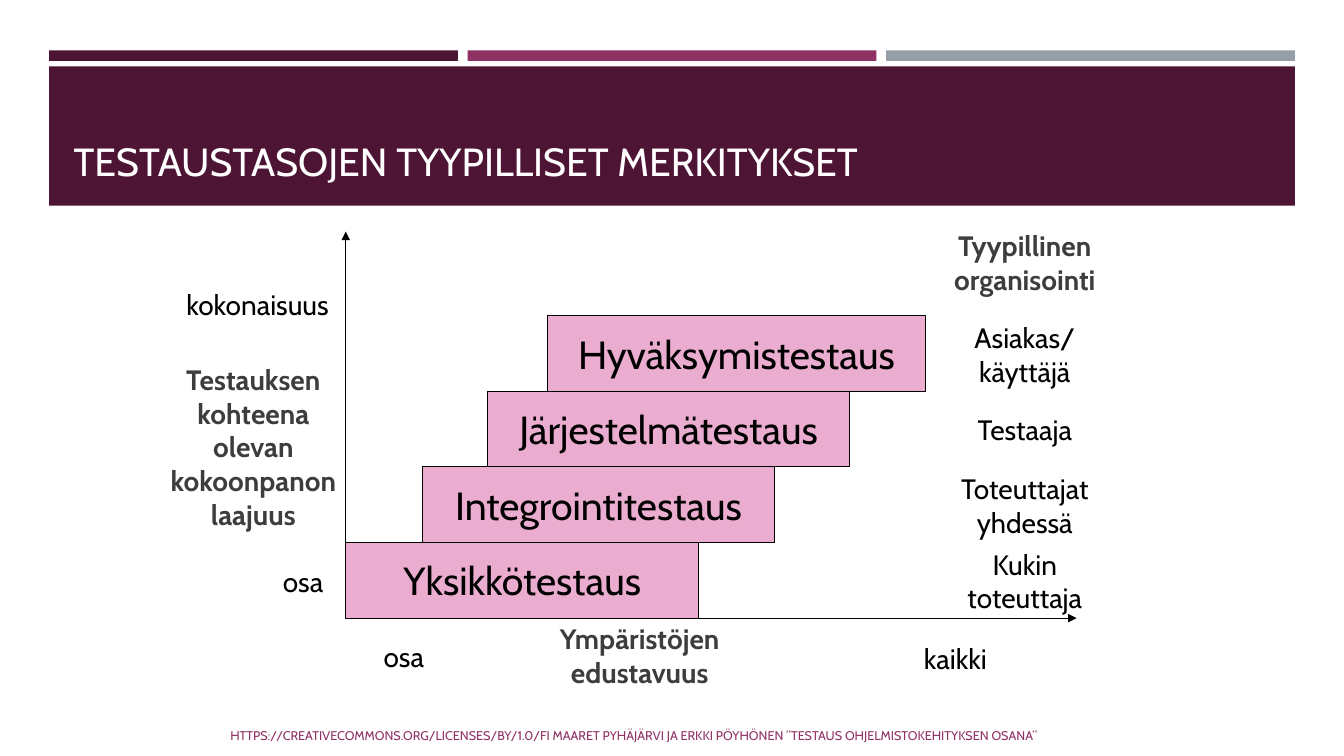
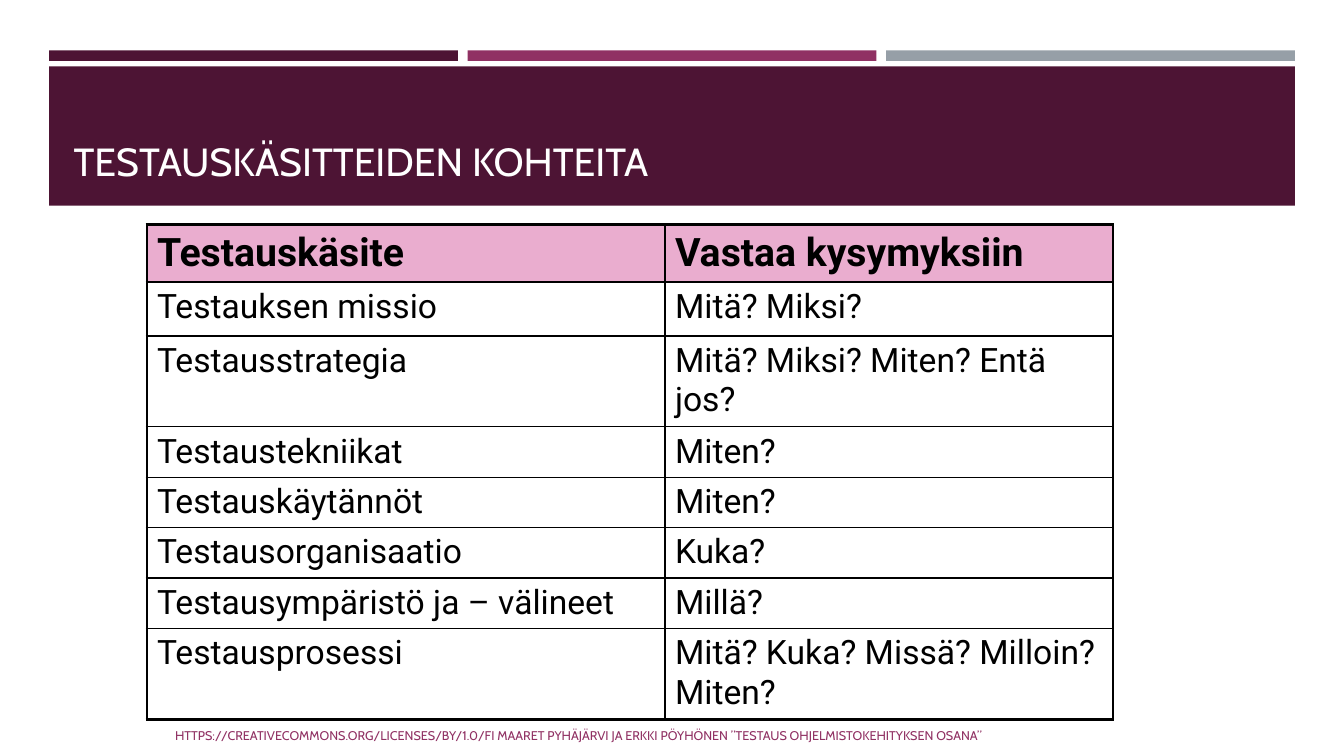
from lxml import etree
from pptx import Presentation
from pptx.dml.color import RGBColor
from pptx.enum.shapes import MSO_CONNECTOR, MSO_SHAPE
from pptx.enum.text import MSO_ANCHOR, PP_ALIGN
from pptx.oxml.ns import qn
from pptx.util import Pt

RECTANGLE = MSO_SHAPE.RECTANGLE
STRAIGHT = MSO_CONNECTOR.STRAIGHT
TOP, MIDDLE, BOTTOM = MSO_ANCHOR.TOP, MSO_ANCHOR.MIDDLE, MSO_ANCHOR.BOTTOM
LEFT, CENTER, RIGHT = PP_ALIGN.LEFT, PP_ALIGN.CENTER, PP_ALIGN.RIGHT

PLUM = RGBColor(0x4D, 0x14, 0x34)
MAGENTA = RGBColor(0x90, 0x31, 0x63)
GRAY = RGBColor(0x96, 0x9F, 0xA7)
PINK = RGBColor(0xEA, 0xAD, 0xCF)
DARK = RGBColor(0x3D, 0x3D, 0x3D)
BLACK = RGBColor(0, 0, 0)
WHITE = RGBColor(0xFF, 0xFF, 0xFF)

# Text formats
TITLE = {"name": "Cabin", "size": Pt(28), "color": WHITE}
FOOTER = {"name": "Cabin", "size": Pt(9), "color": MAGENTA}
STEP = {"name": "Cabin", "size": Pt(28), "color": BLACK}
LABEL = {"name": "Cabin", "size": Pt(20), "color": BLACK}
HEADING = {"name": "Cabin", "size": Pt(20), "color": DARK, "bold": True}
TABLE_HEAD = {"name": "Roboto", "size": Pt(28), "color": BLACK, "bold": True}
TABLE_BODY = {"name": "Roboto", "size": Pt(24), "color": BLACK, "bold": False}

# Content
SOURCE = ("HTTPS://CREATIVECOMMONS.ORG/LICENSES/BY/1.0/FI MAARET PYHÄJÄRVI JA "
          "ERKKI PÖYHÖNEN ”TESTAUS OHJELMISTOKEHITYKSEN OSANA”")
LEVELS_TITLE = "TESTAUSTASOJEN TYYPILLISET MERKITYKSET"
CONCEPTS_TITLE = "TESTAUSKÄSITTEIDEN KOHTEITA"

# Level, left edge, width, who organises it (bottom step first)
LEVELS = [
    ("Yksikkötestaus", 247, 252, "Kukin toteuttaja"),
    ("Integrointitestaus", 302, 251, "Toteuttajat yhdessä"),
    ("Järjestelmätestaus", 348, 259, "Testaaja"),
    ("Hyväksymistestaus", 391, 270, "Asiakas/\vkäyttäjä"),
]
# Text, (left, top, width, height), alignment, format
AXIS_LABELS = [
    ("Testauksen kohteena olevan kokoonpanon laajuus",
     (109, 255.5, 144, 128), CENTER, HEADING),
    ("osa", (133, 399.5, 105, 31), RIGHT, LABEL),
    ("kokonaisuus", (109, 201.5, 133, 31), RIGHT, LABEL),
    ("Ympäristöjen edustavuus", (385, 440.5, 144, 55), CENTER, HEADING),
    ("kaikki", (607, 455, 105, 31), RIGHT, LABEL),
    ("osa", (205, 453.5, 105, 31), RIGHT, LABEL),
]
# Concept, questions, row height
CONCEPTS = [
    ("Testauskäsite", "Vastaa kysymyksiin", 41),
    ("Testauksen missio", "Mitä? Miksi?", 38.5),
    ("Testausstrategia", "Mitä? Miksi? Miten? Entä jos?", 63.5),
    ("Testaustekniikat", "Miten?", 35.4),
    ("Testauskäytännöt", "Miten?", 35.4),
    ("Testausorganisaatio", "Kuka?", 35.4),
    ("Testausympäristö ja – välineet", "Millä?", 35.4),
    ("Testausprosessi", "Mitä? Kuka? Missä? Milloin? Miten?", 63.5),
]
COLUMN_WIDTHS = (370, 320)

# Geometry
SLIDE_WIDTH, SLIDE_HEIGHT = 960, 540
BAND_LEFT, BAND_TOP, BAND_WIDTH, BAND_HEIGHT, BAND_GAP = 35, 36, 292, 7.5, 7
ORIGIN_X, ORIGIN_Y = 247, 441.5
AXIS_TOP, AXIS_RIGHT = 165.5, 769
STEP_HEIGHT = 54
ORGANISER_LEFT, ORGANISER_WIDTH = 662, 140
TABLE_LEFT, TABLE_TOP = 105, 160.5
THIN, THICK = 1, 2.25


def points(*lengths):
    return [Pt(length) for length in lengths]


def write(text_frame, text, text_format, alignment=LEFT, anchor=TOP):
    text_frame.word_wrap = True
    text_frame.vertical_anchor = anchor
    text_frame.text = text
    paragraph = text_frame.paragraphs[0]
    paragraph.alignment = alignment
    for run in paragraph.runs:
        for name, value in text_format.items():
            if name == "color":
                run.font.color.rgb = value
            else:
                setattr(run.font, name, value)


def add_text(slide, box, *text_arguments):
    write(slide.shapes.add_textbox(*points(*box)).text_frame, *text_arguments)


def add_rectangle(slide, box, fill, outline=None):
    shape = slide.shapes.add_shape(RECTANGLE, *points(*box))
    shape.shadow.inherit = False
    shape.fill.solid()
    shape.fill.fore_color.rgb = fill
    if outline is None:
        shape.line.fill.background()
    else:
        shape.line.color.rgb = outline
        shape.line.width = Pt(0.75)
    return shape


def add_arrow(slide, *ends):
    connector = slide.shapes.add_connector(STRAIGHT, *points(*ends))
    connector.line.color.rgb = BLACK
    connector.line.width = Pt(0.75)
    etree.SubElement(connector.line._get_or_add_ln(), qn("a:tailEnd"), type="triangle")
    etree.SubElement(connector._element.spPr, qn("a:effectLst"))


def set_borders(cell, widths):
    properties = cell._tc.get_or_add_tcPr()
    for side, width in zip("LRTB", widths):
        line = etree.SubElement(properties, qn("a:ln" + side), w=str(Pt(width)))
        fill = etree.SubElement(line, qn("a:solidFill"))
        etree.SubElement(fill, qn("a:srgbClr"), val=str(BLACK))


def add_base_slide(presentation, title, footer_left):
    slide = presentation.slides.add_slide(presentation.slide_layouts[6])
    for index, color in enumerate((PLUM, MAGENTA, GRAY)):
        left = BAND_LEFT + index * (BAND_WIDTH + BAND_GAP)
        add_rectangle(slide, (left, BAND_TOP, BAND_WIDTH, BAND_HEIGHT), color)
    add_rectangle(slide, (BAND_LEFT, 47.5, 890, 99.5), PLUM)
    add_text(slide, (45.5, 57.5, 868, 78), title, TITLE, LEFT, BOTTOM)
    add_text(slide, (footer_left, 511, 640, 29), SOURCE, FOOTER, LEFT, MIDDLE)
    return slide


def build_levels(presentation):
    slide = add_base_slide(presentation, LEVELS_TITLE, 157.5)

    # Axes
    add_arrow(slide, ORIGIN_X, ORIGIN_Y, ORIGIN_X, AXIS_TOP)
    add_arrow(slide, ORIGIN_X, ORIGIN_Y, AXIS_RIGHT, ORIGIN_Y)

    # Staircase and organisers
    for index, (level, left, width, organiser) in enumerate(LEVELS, start=1):
        top = ORIGIN_Y - index * STEP_HEIGHT
        step = add_rectangle(slide, (left, top, width, STEP_HEIGHT), PINK, BLACK)
        write(step.text_frame, level, STEP, CENTER, MIDDLE)
        add_text(slide, (ORGANISER_LEFT, top, ORGANISER_WIDTH, STEP_HEIGHT + 1),
                 organiser, LABEL, CENTER, MIDDLE)
    add_text(slide, (ORGANISER_LEFT, 160, ORGANISER_WIDTH, 55),
             "Tyypillinen organisointi", HEADING, CENTER)

    # Axis labels
    for text, box, alignment, text_format in AXIS_LABELS:
        add_text(slide, box, text, text_format, alignment)


def build_concepts(presentation):
    slide = add_base_slide(presentation, CONCEPTS_TITLE, 118)
    heights = [row[-1] for row in CONCEPTS]
    last_row, last_column = len(CONCEPTS) - 1, len(COLUMN_WIDTHS) - 1
    table = slide.shapes.add_table(
        len(CONCEPTS), len(COLUMN_WIDTHS),
        *points(TABLE_LEFT, TABLE_TOP, sum(COLUMN_WIDTHS), sum(heights))).table
    table.first_row = table.horz_banding = False
    for column, width in zip(table.columns, COLUMN_WIDTHS):
        column.width = Pt(width)

    for row_index, (*texts, height) in enumerate(CONCEPTS):
        table.rows[row_index].height = Pt(height)
        for column_index, text in enumerate(texts):
            cell = table.cell(row_index, column_index)
            outer = (column_index == 0, column_index == last_column,
                     row_index == 0, row_index == last_row)
            set_borders(cell, [THICK if edge else THIN for edge in outer])
            if row_index == 0:
                cell.fill.solid()
                cell.fill.fore_color.rgb = PINK
            else:
                cell.fill.background()
            write(cell.text_frame, text, TABLE_BODY if row_index else TABLE_HEAD)


def main():
    presentation = Presentation()
    presentation.slide_width = Pt(SLIDE_WIDTH)
    presentation.slide_height = Pt(SLIDE_HEIGHT)
    build_levels(presentation)
    build_concepts(presentation)
    presentation.save("out.pptx")


if __name__ == "__main__":
    main()
